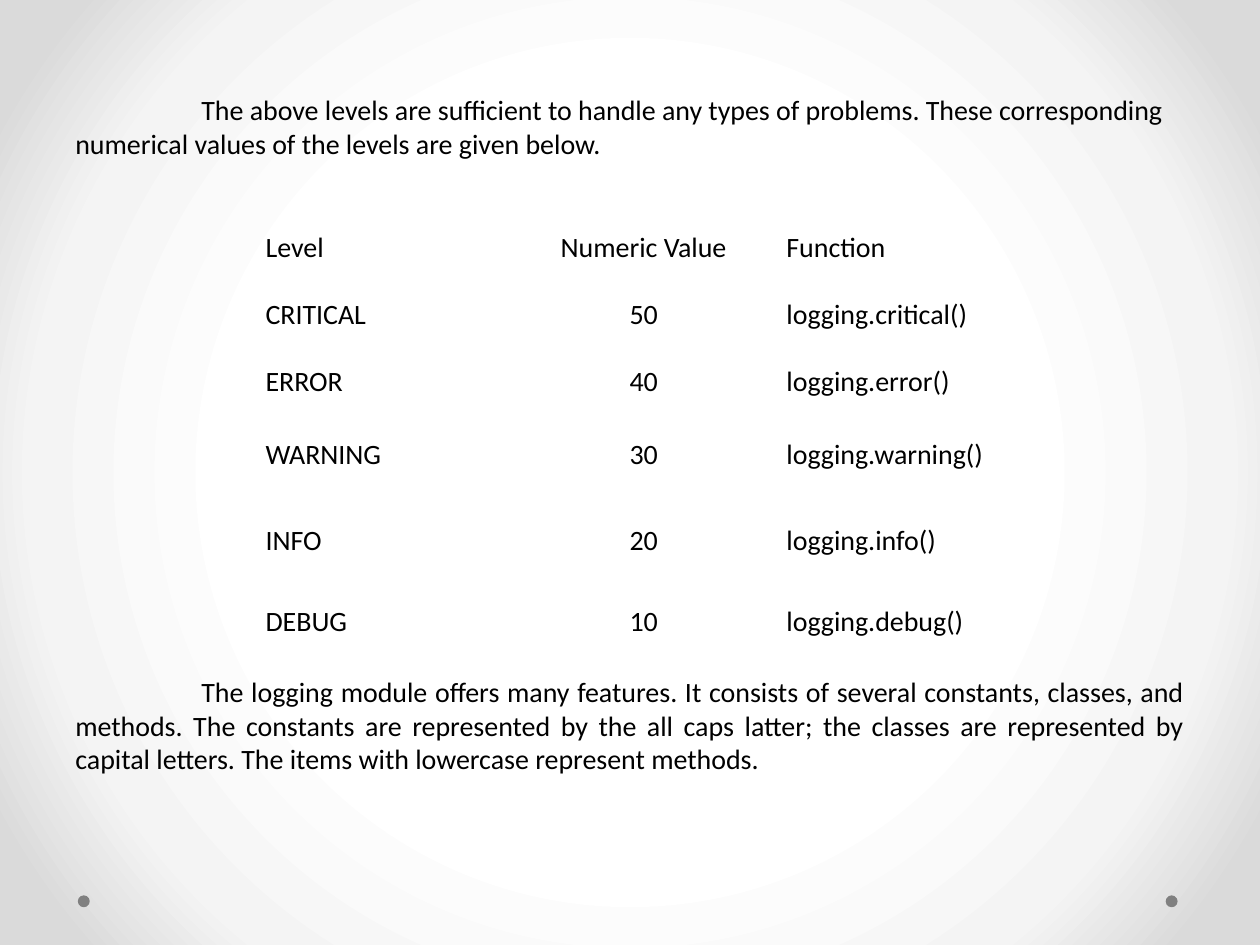
import pptx
import pptx.dml.color
import pptx.enum.shapes
import pptx.enum.text
import pptx.oxml
import pptx.oxml.ns
import pptx.util

Cm = pptx.util.Cm
ALIGN = pptx.enum.text.PP_ALIGN
BLACK = pptx.dml.color.RGBColor(0x00, 0x00, 0x00)
GRAY = pptx.dml.color.RGBColor(0x80, 0x80, 0x80)
WHITE = pptx.dml.color.RGBColor(0xFF, 0xFF, 0xFF)
PALE_GRAY = pptx.dml.color.RGBColor(0xF4, 0xF4, 0xF4)
LIGHT_GRAY = pptx.dml.color.RGBColor(0xDA, 0xDA, 0xDA)

BACKDROP_STOPS = [(50, WHITE), (76, PALE_GRAY), (92, LIGHT_GRAY)]
PLAIN_TABLE_STYLE = "{2D5ABB26-0587-4C30-8999-92F81FD0307C}"

INTRO = ("The above levels are sufficient to handle any types of problems. "
         "These corresponding numerical values of the levels are given below.")
FEATURES = ("The logging module offers many features. It consists of several "
            "constants, classes, and methods. The constants are represented by "
            "the all caps latter; the classes are represented by capital "
            "letters. The items with lowercase represent methods.")
LEVELS = [
    ("Level", "Numeric Value", "Function"),
    ("CRITICAL", "50", "logging.critical()"),
    ("ERROR", "40", "logging.error()"),
    ("WARNING", "30", "logging.warning()"),
    ("INFO", "20", "logging.info()"),
    ("DEBUG", "10", "logging.debug()"),
]
ROW_HEIGHTS = [0.8, 1.78, 0.8, 2, 1.48, 1.78]
COLUMN_ALIGNMENTS = [ALIGN.LEFT, ALIGN.CENTER, ALIGN.LEFT]


def paint_backdrop(slide):
    """Fill the background with a gradient that darkens from the centre."""
    slide.background.fill.gradient()
    gradient = next(slide.element.iter(pptx.oxml.ns.qn("a:gradFill")))
    stops = "".join(
        f'<a:gs pos="{percent * 1000}"><a:srgbClr val="{color}"/></a:gs>'
        for percent, color in BACKDROP_STOPS)
    radial = pptx.oxml.parse_xml(
        f'<a:gradFill {pptx.oxml.ns.nsdecls("a")} rotWithShape="1">'
        f'<a:gsLst>{stops}</a:gsLst><a:path path="circle">'
        '<a:fillToRect l="50000" t="50000" r="50000" b="50000"/>'
        '</a:path></a:gradFill>')
    gradient.getparent().replace(gradient, radial)


def write(paragraph, text, alignment):
    paragraph.text = text
    paragraph.alignment = alignment
    paragraph.font.name = "Calibri"
    paragraph.font.size = pptx.util.Pt(16)
    paragraph.font.color.rgb = BLACK


def add_corner_dots(slide, left, top, width, diameter):
    """Put one dot at each end of the given strip."""
    for dot_left in (left, left + width - diameter):
        dot = slide.shapes.add_shape(
            pptx.enum.shapes.MSO_SHAPE.OVAL,
            Cm(dot_left), Cm(top), Cm(diameter), Cm(diameter))
        dot.shadow.inherit = False
        dot.fill.solid()
        dot.fill.fore_color.rgb = GRAY
        dot.line.fill.background()


def add_indented_text(slide, text, alignment, left, top, width, height):
    frame = slide.shapes.add_textbox(
        Cm(left), Cm(top), Cm(width), Cm(height)).text_frame
    frame.word_wrap = True
    paragraph = frame.paragraphs[0]
    write(paragraph, text, alignment)
    properties = paragraph._p.get_or_add_pPr()
    properties.set("marL", "0")
    properties.set("indent", str(Cm(2.54)))


def add_levels_table(slide, left, top, width):
    table = slide.shapes.add_table(
        len(LEVELS), len(LEVELS[0]),
        Cm(left), Cm(top), Cm(width), Cm(sum(ROW_HEIGHTS))).table
    table.first_row = False
    table.horz_banding = False
    style = next(table._tbl.iter(pptx.oxml.ns.qn("a:tableStyleId")))
    style.text = PLAIN_TABLE_STYLE
    for row, height, texts in zip(table.rows, ROW_HEIGHTS, LEVELS):
        row.height = Cm(height)
        for cell, text, alignment in zip(row.cells, texts, COLUMN_ALIGNMENTS):
            cell.fill.background()
            cell.vertical_anchor = pptx.enum.text.MSO_ANCHOR.MIDDLE
            write(cell.text_frame.paragraphs[0], text, alignment)


def main():
    deck = pptx.Presentation()
    deck.slide_width, deck.slide_height = Cm(25.4), Cm(19.05)
    slide = deck.slides.add_slide(deck.slide_layouts[6])
    paint_backdrop(slide)
    add_corner_dots(slide, 1.57, 18.05, 22.17, 0.24)
    add_indented_text(slide, INTRO, ALIGN.LEFT, 1.27, 1.75, 22.86, 1.65)
    add_indented_text(slide, FEATURES, ALIGN.JUSTIFY, 1.27, 13.48, 22.86, 2.35)
    add_levels_table(slide, 5.1, 4.52, 15.75)
    deck.save("out.pptx")


if __name__ == "__main__":
    main()
